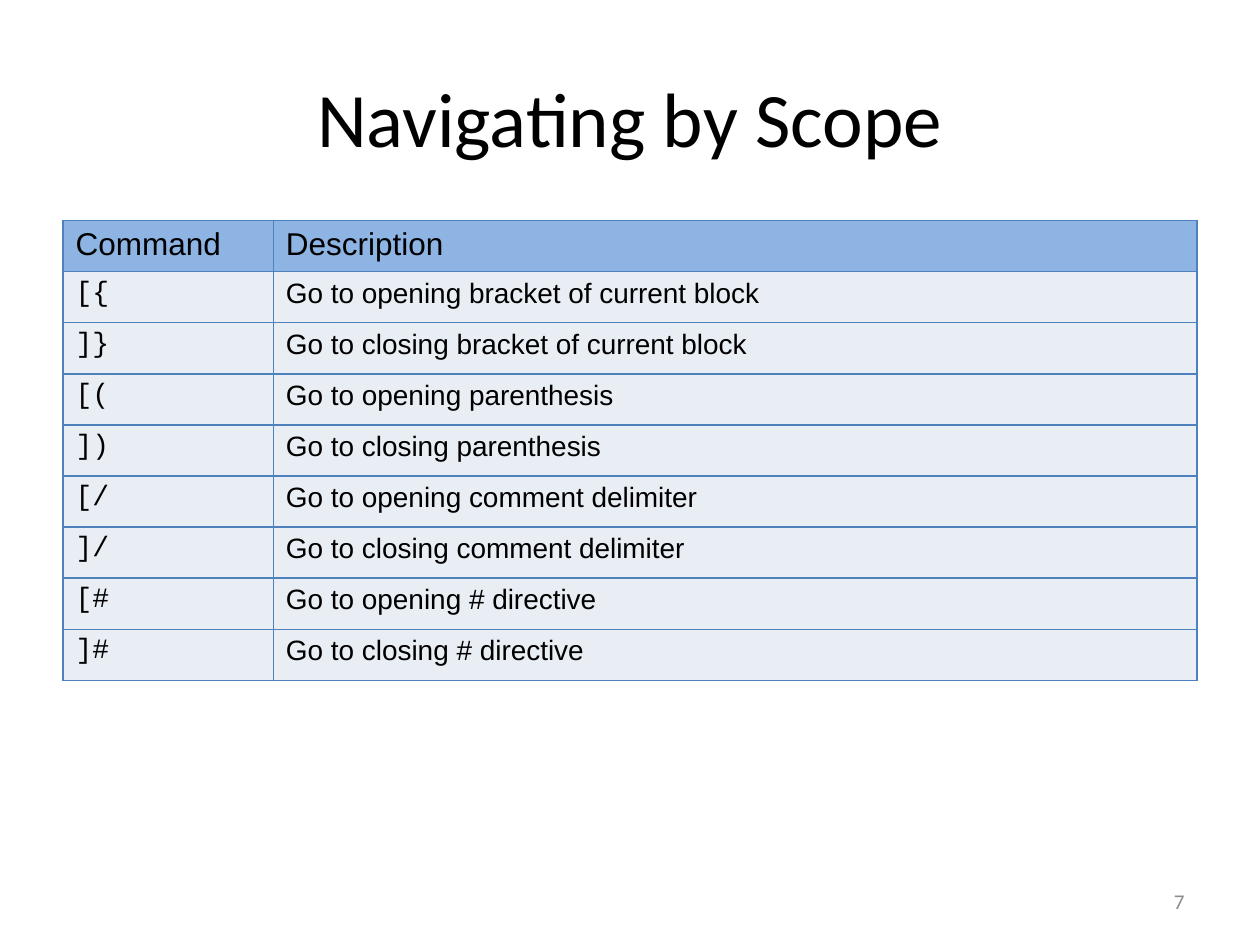
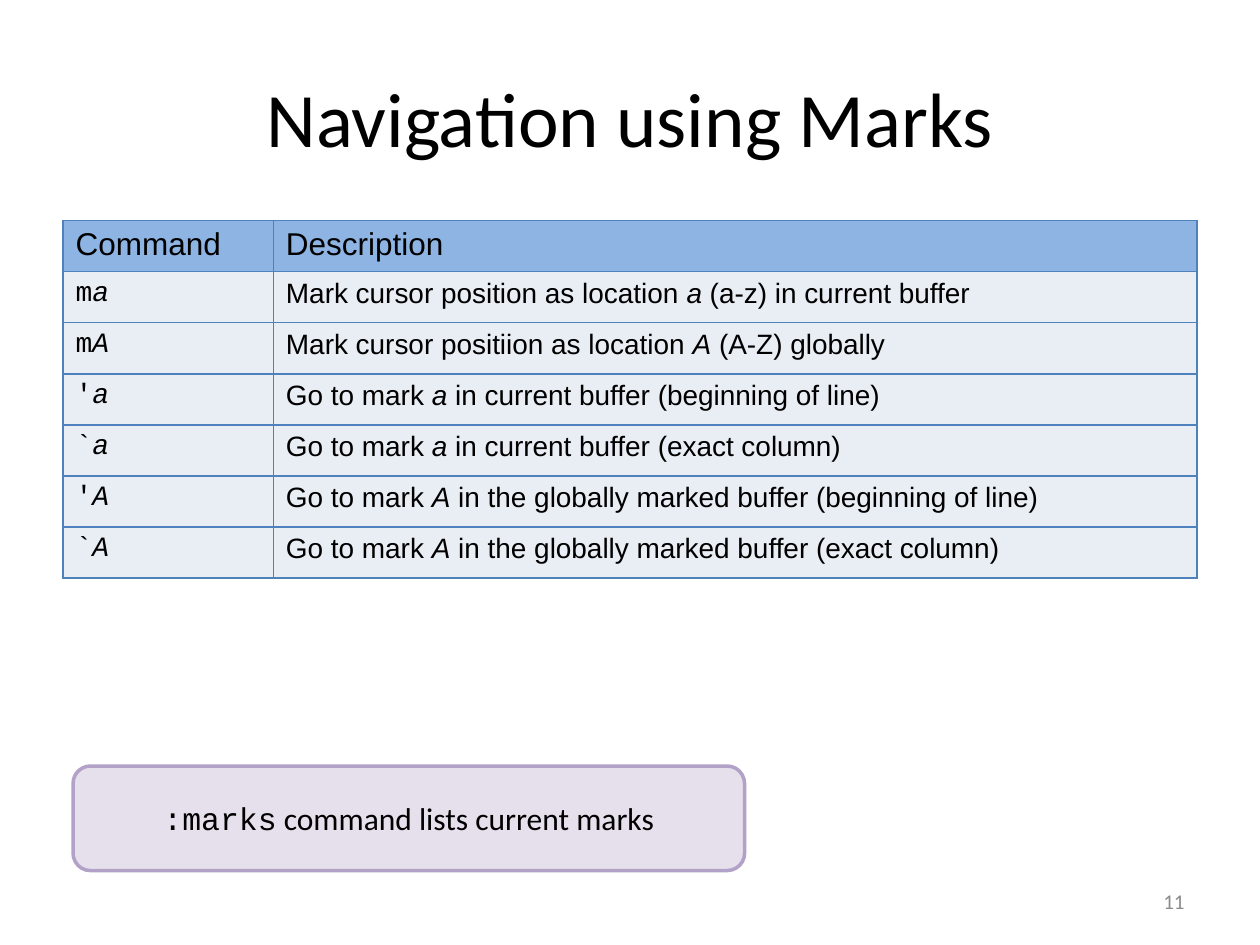
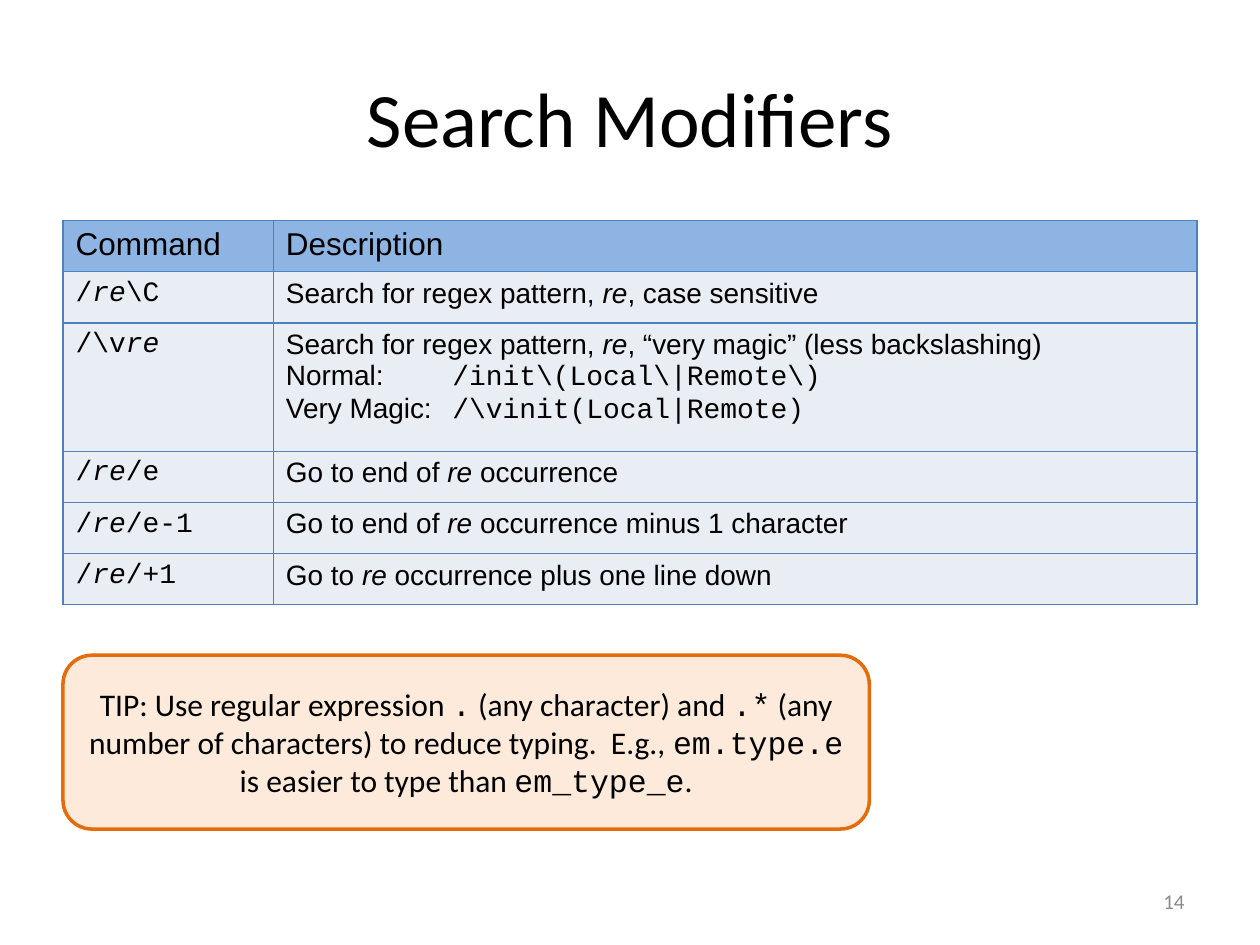
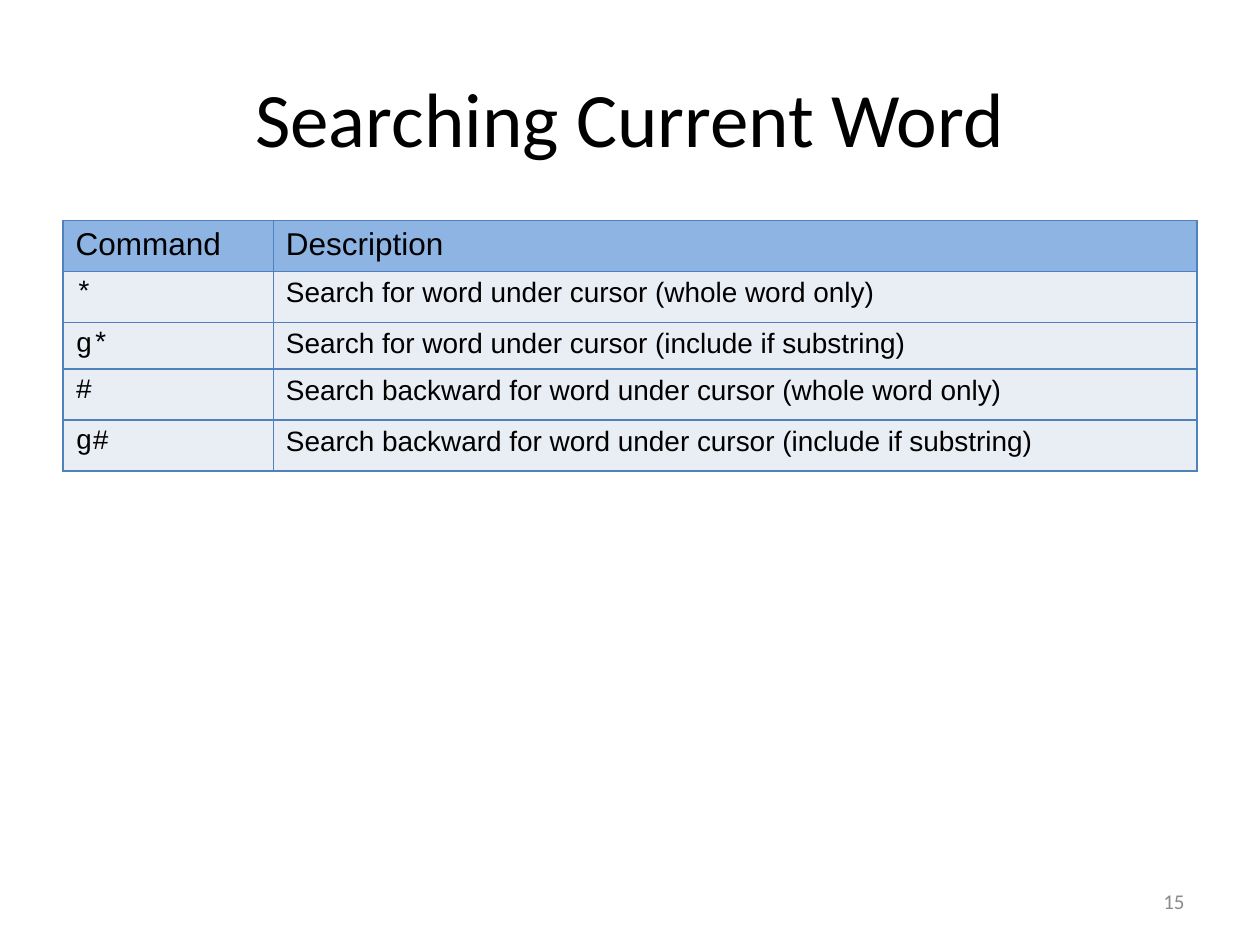
from collections.abc import Iterable
from dataclasses import dataclass, field
from typing import NamedTuple

from lxml.etree import SubElement
from pptx import Presentation
from pptx.dml.color import RGBColor
from pptx.enum.shapes import MSO_SHAPE
from pptx.enum.text import MSO_ANCHOR, PP_ALIGN
from pptx.oxml import parse_xml
from pptx.oxml.ns import nsdecls, qn
from pptx.util import Inches, Pt

COLORS = {
    "text": "000000",
    "page_number": "8B8B8B",
    "border": "4F81BD",
    "header_fill": "8EB4E3",
    "body_fill": "E9EDF4",
    "note_fill": "E6E0EC",
    "note_line": "B3A2C7",
    "tip_fill": "FDEADA",
    "tip_line": "E46C0A",
}
FORMATS = {
    "title": {"name": "Calibri", "size": Pt(44)},
    "page_number": {"name": "Calibri", "size": Pt(12)},
    "header": {"name": "Arial", "size": Pt(18)},
    "description": {"name": "Arial", "size": Pt(16)},
    "variable": {"name": "Arial", "size": Pt(16), "italic": True},
    "command": {"name": "Courier New", "size": Pt(16)},
    "command_variable": {"name": "Courier New", "size": Pt(16), "italic": True},
    "callout": {"name": "Calibri", "size": Pt(18)},
    "callout_code": {"name": "Courier New", "size": Pt(18)},
}
TITLE_ONLY = 5
COLUMN_WIDTHS = (1.67, 7.33)
EXAMPLE_TAB = 1.32


class Box(NamedTuple):
    left: float
    top: float
    width: float
    height: float

    def lengths(self) -> list[int]:
        return [Inches(value) for value in self]


TITLE_BOX = Box(0.5, 0.3, 9, 1.25)
PAGE_NUMBER_BOX = Box(7.17, 6.95, 2.33, 0.4)


class Line(NamedTuple):
    """One paragraph; each ~ switches between the main and the other format."""
    text: str
    main: str
    other: str


class Entry(NamedTuple):
    command: str
    description: str
    examples: tuple[str, ...] = ()


class Callout(NamedTuple):
    box: Box
    text: str
    colors: str


@dataclass
class CommandPage:
    title: str
    number: int
    table_height: float
    entries: list[Entry]
    special_rows: dict[int, float] = field(default_factory=dict)
    callout: Callout | None = None

    def row_heights(self) -> list[float]:
        """Rows without a special height share the remaining height equally."""
        count = len(self.entries) + 1
        remaining = self.table_height - sum(self.special_rows.values())
        regular = remaining / (count - len(self.special_rows))
        return [self.special_rows.get(row, regular) for row in range(count)]


PAGES = [
    CommandPage("Navigating by Scope", 7, 3.65, [
        Entry("[{", "Go to opening bracket of current block"),
        Entry("]}", "Go to closing bracket of current block"),
        Entry("[(", "Go to opening parenthesis"),
        Entry("])", "Go to closing parenthesis"),
        Entry("[/", "Go to opening comment delimiter"),
        Entry("]/", "Go to closing comment delimiter"),
        Entry("[#", "Go to opening # directive"),
        Entry("]#", "Go to closing # directive"),
    ]),
    CommandPage("Navigation using Marks", 11, 2.84, [
        Entry("m~a", "Mark cursor position as location ~a~ (a-z) in current buffer"),
        Entry("m~A", "Mark cursor positiion as location ~A~ (A-Z) globally"),
        Entry("'~a", "Go to mark ~a~ in current buffer (beginning of line)"),
        Entry("`~a", "Go to mark ~a~ in current buffer (exact column)"),
        Entry("'~A", "Go to mark ~A~ in the globally marked buffer (beginning of line)"),
        Entry("`~A", "Go to mark ~A~ in the globally marked buffer (exact column)"),
    ], callout=Callout(
        Box(0.58, 6.08, 5.33, 0.83), "~:marks~ command lists current marks", "note")),
    CommandPage("Search Modifiers", 14, 3.05, [
        Entry(r"/~re~\C", "Search for regex pattern, ~re~, case sensitive"),
        Entry(r"/\v~re", "Search for regex pattern, ~re~, “very magic” (less backslashing)", (
            "Normal:\t~" r"/init\(Local\|Remote\)",
            "Very Magic:\t~" r"/\vinit(Local|Remote)",
        )),
        Entry("/~re~/e", "Go to end of ~re~ occurrence"),
        Entry("/~re~/e-1", "Go to end of ~re~ occurrence minus 1 character"),
        Entry("/~re~/+1", "Go to ~re~ occurrence plus one line down"),
    ], special_rows={2: 1.02}, callout=Callout(
        Box(0.5, 5.2, 6.4, 1.38),
        "TIP: Use regular expression ~.~ (any character) and ~.*~ (any number of "
        "characters) to reduce typing.  E.g., ~em.type.e~ is easier to type than "
        "~em_type_e~.", "tip")),
    CommandPage("Searching Current Word", 15, 1.99, [
        Entry("*", "Search for word under cursor (whole word only)"),
        Entry("g*", "Search for word under cursor (include if substring)"),
        Entry("#", "Search backward for word under cursor (whole word only)"),
        Entry("g#", "Search backward for word under cursor (include if substring)"),
    ], special_rows={2: 0.37}),
]


def color(name: str) -> RGBColor:
    return RGBColor.from_string(COLORS[name])


def fill_solid(target, name: str) -> None:
    target.fill.solid()
    target.fill.fore_color.rgb = color(name)


def add_tab_stop(para, position: float) -> None:
    tabs = SubElement(para._p.get_or_add_pPr(), qn("a:tabLst"))
    SubElement(tabs, qn("a:tab"), pos=str(Inches(position)), algn="l")


def write(frame, lines: Iterable[Line], align=PP_ALIGN.LEFT,
          text_color: str = "text") -> None:
    for index, line in enumerate(lines):
        para = frame.add_paragraph() if index else frame.paragraphs[0]
        para.alignment = align
        if "\t" in line.text:
            add_tab_stop(para, EXAMPLE_TAB)
        for part, text in enumerate(line.text.split("~")):
            if not text:
                continue
            span = para.add_run()
            span.text = text
            span.font.color.rgb = color(text_color)
            for name, value in FORMATS[line.other if part % 2 else line.main].items():
                setattr(span.font, name, value)


def add_borders(cell) -> None:
    properties = cell._tc.get_or_add_tcPr()
    for index, side in enumerate(("lnL", "lnR", "lnT", "lnB")):
        properties.insert(index, parse_xml(
            f'<a:{side} {nsdecls("a")} w="{Pt(1)}"><a:solidFill>'
            f'<a:srgbClr val="{COLORS["border"]}"/></a:solidFill></a:{side}>'))


def entry_cells(entry: Entry) -> list[list[Line]]:
    description = [Line(entry.description, "description", "variable")]
    description += [Line(text, "description", "command") for text in entry.examples]
    return [[Line(entry.command, "command", "command_variable")], description]


def add_command_table(slide, page: CommandPage) -> None:
    heights = page.row_heights()
    box = Box(0.5, 1.75, sum(COLUMN_WIDTHS), page.table_height)
    table = slide.shapes.add_table(
        len(heights), len(COLUMN_WIDTHS), *box.lengths()).table
    table.first_row = table.horz_banding = False
    for column, width in zip(table.columns, COLUMN_WIDTHS):
        column.width = Inches(width)
    header = [[Line(text, "header", "header")] for text in ("Command", "Description")]
    contents = [header, *map(entry_cells, page.entries)]
    for index, (row, height, cells) in enumerate(zip(table.rows, heights, contents)):
        row.height = Inches(height)
        for cell, lines in zip(row.cells, cells):
            fill_solid(cell, "body_fill" if index else "header_fill")
            add_borders(cell)
            write(cell.text_frame, lines)


def add_title(slide, text: str) -> None:
    title = slide.shapes.title
    title.left, title.top, title.width, title.height = TITLE_BOX.lengths()
    title.text_frame.vertical_anchor = MSO_ANCHOR.MIDDLE
    write(title.text_frame, [Line(text, "title", "title")], PP_ALIGN.CENTER)


def add_page_number(slide, number: int) -> None:
    frame = slide.shapes.add_textbox(*PAGE_NUMBER_BOX.lengths()).text_frame
    frame.word_wrap = True
    frame.vertical_anchor = MSO_ANCHOR.MIDDLE
    write(frame, [Line(str(number), "page_number", "page_number")],
          PP_ALIGN.RIGHT, "page_number")


def add_callout(slide, callout: Callout) -> None:
    shape = slide.shapes.add_shape(
        MSO_SHAPE.ROUNDED_RECTANGLE, *callout.box.lengths())
    shape.shadow.inherit = False
    fill_solid(shape, f"{callout.colors}_fill")
    shape.line.color.rgb = color(f"{callout.colors}_line")
    shape.line.width = Pt(2)
    shape.text_frame.word_wrap = True
    shape.text_frame.vertical_anchor = MSO_ANCHOR.MIDDLE
    write(shape.text_frame, [Line(callout.text, "callout", "callout_code")],
          PP_ALIGN.CENTER)


def main() -> None:
    deck = Presentation()
    deck.slide_width, deck.slide_height = Inches(10), Inches(7.5)
    for page in PAGES:
        slide = deck.slides.add_slide(deck.slide_layouts[TITLE_ONLY])
        add_title(slide, page.title)
        add_command_table(slide, page)
        add_page_number(slide, page.number)
        if page.callout:
            add_callout(slide, page.callout)
    deck.save("out.pptx")


if __name__ == "__main__":
    main()
